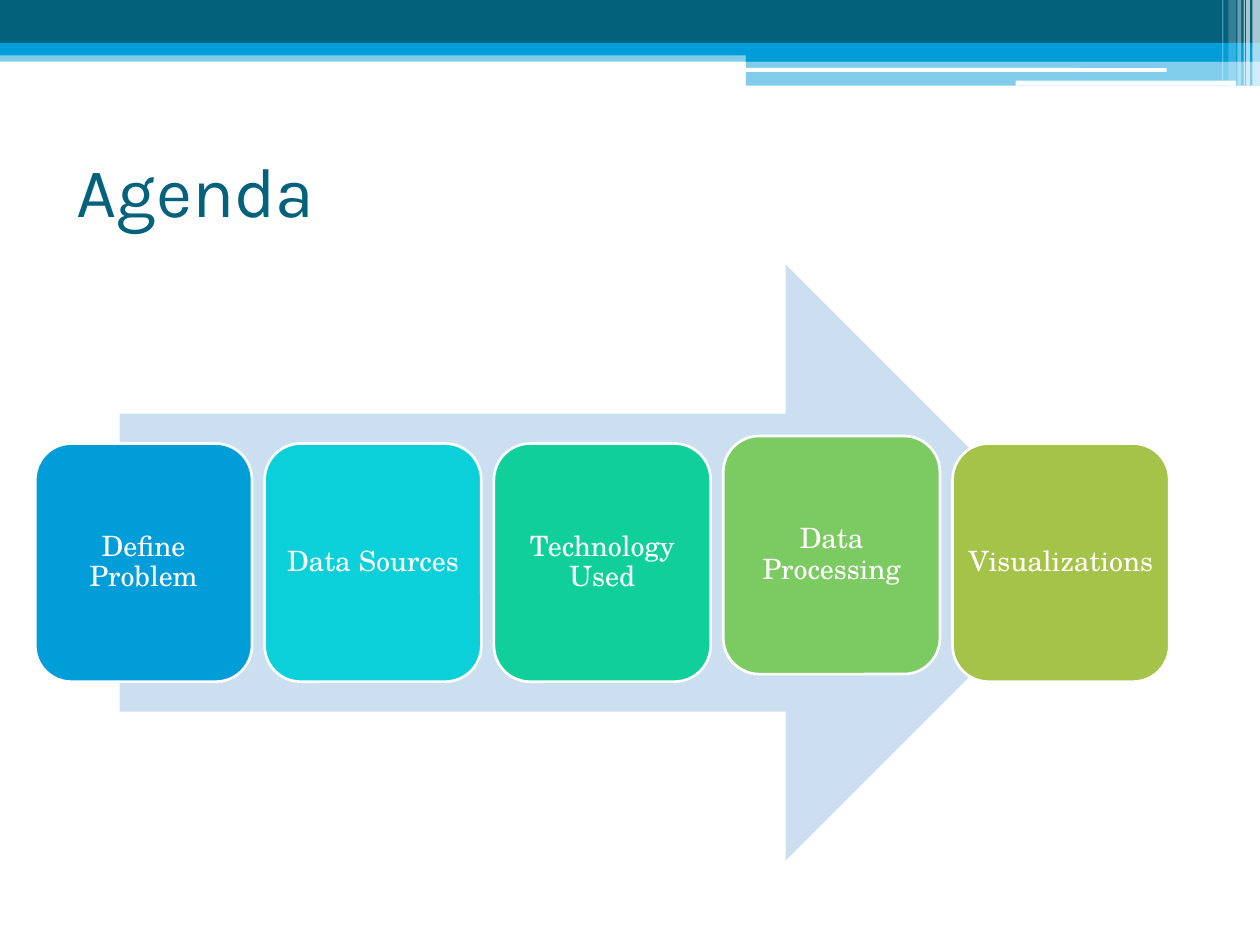
from lxml.etree import SubElement
from pptx import Presentation
from pptx.dml.color import RGBColor
from pptx.enum.shapes import MSO_SHAPE as Shape
from pptx.enum.text import MSO_ANCHOR as Anchor, PP_ALIGN as Align
from pptx.oxml.ns import qn
from pptx.util import Inches, Pt

WHITE = RGBColor(0xFF, 0xFF, 0xFF)
TEAL = RGBColor(0x04, 0x61, 0x7B)
BLUE = RGBColor(0x00, 0x9D, 0xD9)
CYAN = RGBColor(0x0B, 0xD0, 0xD9)
MINT = RGBColor(0x10, 0xCF, 0x9B)
GREEN = RGBColor(0x7C, 0xCA, 0x62)
OLIVE = RGBColor(0xA5, 0xC2, 0x49)
PALE_BLUE = RGBColor(0xCC, 0xDF, 0xF1)

# left, top, width, height, colour, opacity in percent
HEADER_BANDS = [
    (0, 0.4, 10, 0.09, BLUE, 50),
    (0, 0, 10, 0.34, TEAL, 100),
    (0, 0.34, 10, 0.1, BLUE, 100),
    (5.92, 0.39, 4.08, 0.1, BLUE, 100),
    (5.92, 0.48, 4.08, 0.2, BLUE, 50),
]
HEADER_RULES = [(5.91, 0.54, 3.35, 0.03), (8.06, 0.64, 1.75, 0.04)]
# left, width, height, opacity in percent
CORNER_STRIPES = [
    (9.94, 0.06, 0.68, 65),
    (9.89, 0.03, 0.68, 65),
    (9.87, 0.01, 0.68, 60),
    (9.82, 0.03, 0.68, 40),
    (9.75, 0.06, 0.64, 20),
    (9.7, 0.01, 0.64, 30),
]
# label, colour, top
STEPS = [
    ("Define Problem", BLUE, 3.52),
    ("Data Sources", CYAN, 3.52),
    ("Technology Used", MINT, 3.52),
    ("Data Processing", GREEN, 3.46),
    ("Visualizations", OLIVE, 3.52),
]
STEP_LEFT, STEP_PITCH, STEP_WIDTH, STEP_HEIGHT = 0.28, 1.82, 1.72, 1.89


class AgendaSlide:
    title_font = "Karla"
    body_font = "TeX Gyre Schola"

    def __init__(self, slide):
        self.slide = slide

    def add_run(self, paragraph, text, font_name, size, color):
        run = paragraph.add_run()
        run.text = text
        run.font.name = font_name
        run.font.size = Pt(size)
        run.font.color.rgb = color

    def title(self, text, left, top, width, height):
        title = self.slide.shapes.title
        title.left, title.top = Inches(left), Inches(top)
        title.width, title.height = Inches(width), Inches(height)
        title.text_frame.vertical_anchor = Anchor.MIDDLE
        heading = title.text_frame.paragraphs[0]
        heading.alignment = Align.LEFT
        self.add_run(heading, text, self.title_font, 40, TEAL)

    def block(self, kind, left, top, width, height, color, opacity=100):
        """Add a borderless filled shape; opacity is in percent."""
        block = self.slide.shapes.add_shape(
            kind, Inches(left), Inches(top), Inches(width), Inches(height))
        block.shadow.inherit = False
        block.fill.solid()
        block.fill.fore_color.rgb = color
        block.line.fill.background()
        if opacity < 100:
            tint = block.fill._xPr.find(".//" + qn("a:srgbClr"))
            SubElement(tint, qn("a:alpha"), val=str(opacity * 1000))
        return block

    def step(self, label, left, top, color):
        card = self.block(Shape.ROUNDED_RECTANGLE, left, top,
                          STEP_WIDTH, STEP_HEIGHT, color)
        card.line.color.rgb = WHITE
        card.line.width = Pt(1.5)
        frame = card.text_frame
        frame.word_wrap = True
        frame.vertical_anchor = Anchor.MIDDLE
        # The rounded corners already inset the text area
        frame.margin_left = frame.margin_right = 0
        frame.margin_top = frame.margin_bottom = 0
        caption = frame.paragraphs[0]
        caption.alignment = Align.CENTER
        caption.line_spacing = 0.9
        self.add_run(caption, label, self.body_font, 16, WHITE)


def main():
    deck = Presentation()
    deck.slide_width, deck.slide_height = Inches(10), Inches(7.5)
    title_only = deck.slide_layouts[5]
    agenda = AgendaSlide(deck.slides.add_slide(title_only))

    for band in HEADER_BANDS:
        agenda.block(Shape.RECTANGLE, *band)
    for rule in HEADER_RULES:
        agenda.block(Shape.ROUNDED_RECTANGLE, *rule, WHITE)
    for left, width, height, opacity in CORNER_STRIPES:
        agenda.block(Shape.RECTANGLE, left, 0, width, height, WHITE, opacity)

    agenda.title("Agenda", 0.51, 0.92, 9, 1.17)
    agenda.block(Shape.RIGHT_ARROW, 0.95, 2.1, 7.65, 4.73, PALE_BLUE)
    for index, (label, color, top) in enumerate(STEPS):
        agenda.step(label, STEP_LEFT + index * STEP_PITCH, top, color)

    deck.save("out.pptx")


if __name__ == "__main__":
    main()
